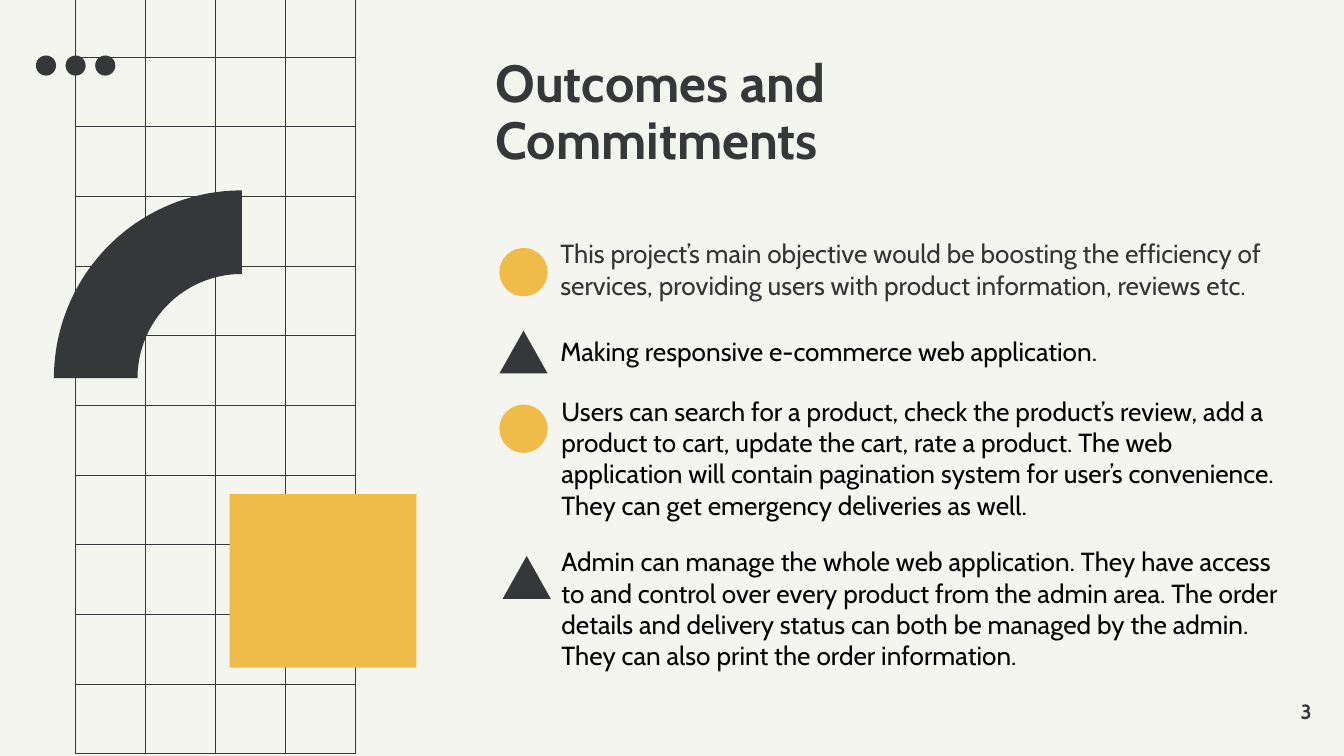
import math

from lxml import etree
from pptx import Presentation
from pptx import util as u
from pptx.dml.color import RGBColor
from pptx.enum import shapes, text
from pptx.oxml import ns

DARK = RGBColor(0x36, 0x37, 0x39)
GREY = RGBColor(0x34, 0x34, 0x34)
BLACK = RGBColor(0, 0, 0)
YELLOW = RGBColor(0xEF, 0xBC, 0x49)
PAPER = RGBColor(0xF5, 0xF5, 0xEF)


class Deck:
    """Holds the style and the current slide; all lengths are centimetres."""

    font = "Cabin"

    def __init__(self, width, height):
        self.prs = Presentation()
        self.prs.slide_width, self.prs.slide_height = u.Cm(width), u.Cm(height)

    def add_slide(self):
        self.s = self.prs.slides.add_slide(self.prs.slide_layouts[6])
        fill = self.s.background.fill
        fill.solid()
        fill.fore_color.rgb = PAPER

    def paint(self, sp, color):
        sp.shadow.inherit = False
        sp.fill.solid()
        sp.fill.fore_color.rgb = color
        sp.line.fill.background()

    def shape(self, kind, x, y, w, h, color):
        sp = self.s.shapes.add_shape(kind, u.Cm(x), u.Cm(y), u.Cm(w), u.Cm(h))
        self.paint(sp, color)

    def line(self, x1, y1, x2, y2):
        sp = self.s.shapes.add_connector(
            shapes.MSO_CONNECTOR.STRAIGHT, u.Cm(x1), u.Cm(y1), u.Cm(x2), u.Cm(y2))
        sp.line.color.rgb = DARK
        sp.line.width = u.Pt(0.5)
        etree.SubElement(sp._element.spPr, ns.qn("a:effectLst"))

    def quarter_ring(self, cx, cy, outer, inner, color):
        """Upper-left quarter of a ring around (cx, cy)."""
        def arc(radius, degrees):
            return [(u.Cm(cx + radius * math.cos(math.radians(d))),
                     u.Cm(cy - radius * math.sin(math.radians(d)))) for d in degrees]

        points = arc(outer, range(90, 181, 2)) + arc(inner, range(180, 89, -2))
        builder = self.s.shapes.build_freeform(*points[0])
        builder.add_line_segments(points[1:], close=True)
        self.paint(builder.convert_to_shape(), color)

    def text(self, words, x, y, w, h, size=14, color=BLACK, bold=False, inset=True,
             anchor=text.MSO_ANCHOR.TOP, align=text.PP_ALIGN.LEFT, spacing=None):
        sp = self.s.shapes.add_textbox(u.Cm(x), u.Cm(y), u.Cm(w), u.Cm(h))
        tf = sp.text_frame
        tf.word_wrap = True
        tf.vertical_anchor = anchor
        if not inset:
            tf.margin_left = tf.margin_right = tf.margin_top = tf.margin_bottom = 0
        p = tf.paragraphs[0]
        p.alignment = align
        if spacing:
            p.line_spacing = spacing
        r = p.add_run()
        r.text = words
        r.font.name, r.font.size, r.font.bold = self.font, u.Pt(size), bold
        r.font.color.rgb = color


def main():
    deck = Deck(25.4, 14.29)
    deck.add_slide()
    kinds = shapes.MSO_SHAPE

    # Three dots
    for i in range(3):
        deck.shape(kinds.OVAL, 0.68 + 0.56 * i, 1.05, 0.38, 0.38, DARK)

    # Grid
    left, right, first_row, bottom = 1.43, 6.71, 1.08, 14.25
    columns, rows = 4, 10
    for i in range(rows + 1):
        y = first_row + (bottom - first_row) * i / rows
        deck.line(left, y, right, y)
    for i in range(columns + 1):
        x = left + (right - left) * i / columns
        deck.line(x, 0, x, bottom)

    # Title and page number
    deck.text("Outcomes and Commitments", 9.37, -0.69, 12.47, 3.91, 28, DARK, True,
              inset=False, anchor=text.MSO_ANCHOR.BOTTOM, spacing=0.9)
    deck.text("3", 23.27, 13.19, 1.52, 0.5, 11, DARK, True, inset=False,
              anchor=text.MSO_ANCHOR.MIDDLE, align=text.PP_ALIGN.RIGHT)

    # Large ornaments
    deck.shape(kinds.RECTANGLE, 4.34, 9.34, 3.53, 3.28, YELLOW)
    deck.quarter_ring(4.57, 7.15, 3.55, 1.97, DARK)

    # Outcomes: marker, marker left and top, text box, text colour, wording
    circle = (kinds.OVAL, 0.91, YELLOW)
    triangle = (kinds.ISOSCELES_TRIANGLE, 0.81, DARK)
    outcomes = [
        (circle, 9.44, 4.69, (10.34, 4.37, 14.6, 1.45), GREY,
         "This project’s main objective would be boosting the efficiency of services, "
         "providing users with product information, reviews etc."),
        (triangle, 9.44, 6.25, (10.34, 6.22, 13.26, 0.86), BLACK,
         "Making responsive e-commerce web application."),
        (circle, 9.44, 7.65, (10.36, 7.34, 14.43, 2.64), BLACK,
         "Users can search for a product, check the product’s review, add a product to "
         "cart, update the cart, rate a product. The web application will contain "
         "pagination system for user’s convenience. They can get emergency deliveries "
         "as well."),
        (triangle, 9.5, 10.51, (10.36, 10.19, 14.43, 2.64), BLACK,
         "Admin can manage the whole web application. They have access to and control "
         "over every product from the admin area. The order details and delivery status "
         "can both be managed by the admin. They can also print the order information."),
    ]
    for (kind, height, fill), x, y, box, color, words in outcomes:
        deck.shape(kind, x, y, 0.91, height, fill)
        deck.text(words, *box, color=color)

    deck.prs.save("out.pptx")


if __name__ == "__main__":
    main()
